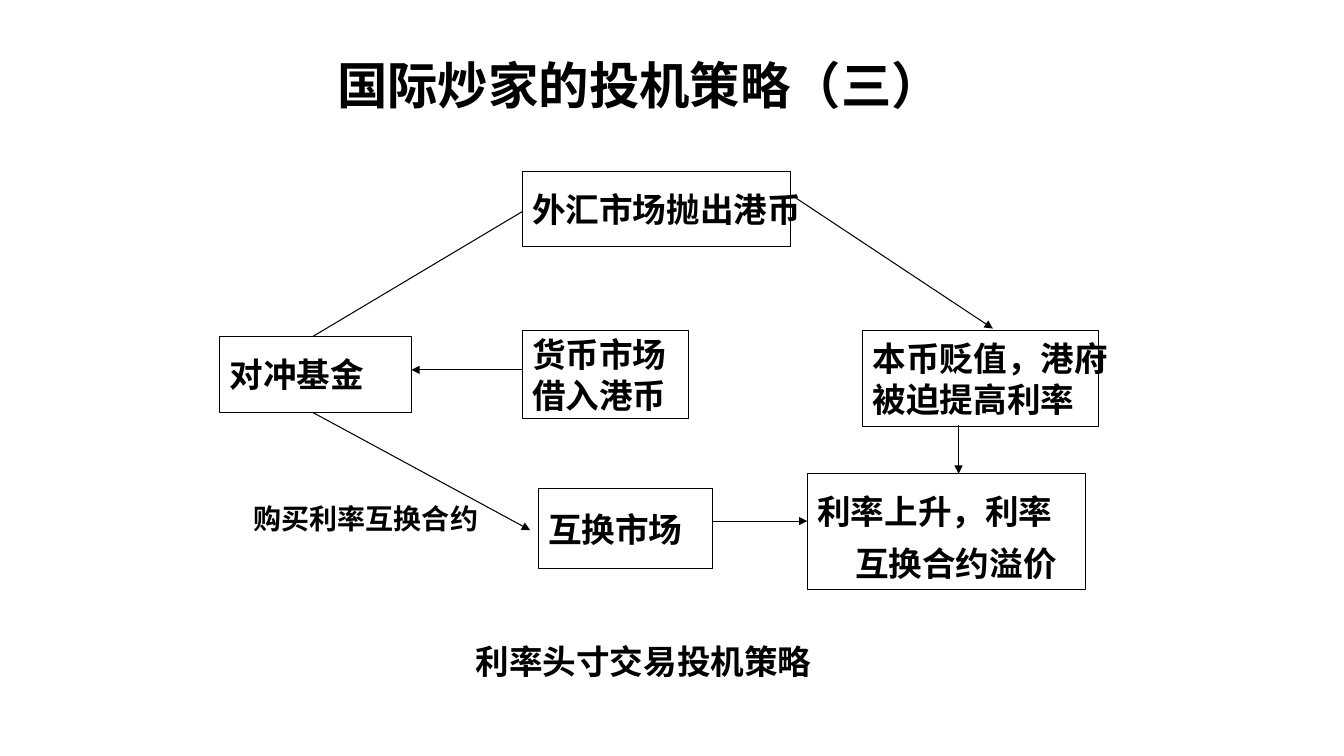
from dataclasses import dataclass
from lxml import etree
from pptx import Presentation
from pptx.dml.color import RGBColor
from pptx.enum.shapes import MSO_CONNECTOR, MSO_SHAPE
from pptx.enum.text import MSO_ANCHOR, PP_ALIGN
from pptx.oxml.ns import qn
from pptx.util import Pt

RECT = MSO_SHAPE.RECTANGLE
LINE = MSO_CONNECTOR.STRAIGHT
TOP, MID = MSO_ANCHOR.TOP, MSO_ANCHOR.MIDDLE
LEFT, CENTER = PP_ALIGN.LEFT, PP_ALIGN.CENTER


@dataclass
class Theme:
    ink: RGBColor = RGBColor(0, 0, 0)
    paper: RGBColor = RGBColor(255, 255, 255)
    head: int = 36
    body: int = 24
    note: int = 20
    rule: float = 0.75
    sans: str = "Arial"
    han: str = "Noto Sans CJK SC"


theme = Theme()
deck = Presentation()
deck.slide_width, deck.slide_height = Pt(960), Pt(540)
slide = deck.slides.add_slide(deck.slide_layouts[6])


def put_text(text, spot, size=theme.body, face=theme.sans, fill=None, edge=None,
             align=LEFT, anchor=MID, wrap=False, hang=0, space=None):
    area = [Pt(n) for n in spot]
    if edge is None:
        shape = slide.shapes.add_textbox(*area)
    else:
        shape = slide.shapes.add_shape(RECT, *area)
        shape.shadow.inherit = False
        shape.line.color.rgb = edge
        shape.line.width = Pt(theme.rule)
        if fill is None:
            shape.fill.background()
        else:
            shape.fill.solid()
            shape.fill.fore_color.rgb = fill
    frame = shape.text_frame
    frame.word_wrap = wrap
    frame.vertical_anchor = anchor
    frame.text = text
    for para in frame.paragraphs:
        para.alignment = align
        if space:
            para.line_spacing = space
        if hang:
            props = para._p.get_or_add_pPr()
            props.set("marL", str(Pt(hang)))
            props.set("indent", str(-Pt(hang)))
        for run in para.runs:
            font = run.font
            font.size, font.bold, font.name = Pt(size), True, face
            font.color.rgb = theme.ink
            etree.SubElement(run._r.rPr, qn("a:ea"), typeface=face)


put_text("国际炒家的投机策略（三）", (162.7, 37.4, 588.2, 51.8), size=theme.head,
         face=theme.han, align=CENTER, wrap=True, space=0.9)
put_text("利率头寸交易投机策略", (332.6, 457.2, 295.2, 30.2), face=theme.han,
         fill=theme.paper, edge=theme.paper)

boxes = [
    ("对冲基金", (157, 240.5, 136.8, 54)),
    ("外汇市场抛出港币", (373, 122.4, 191.5, 54)),
    ("互换市场", (384.5, 349.2, 124.6, 56.9)),
    ("货币市场\n借入港币", (373, 236.2, 118.8, 62.6)),
    ("本币贬值，港府\n被迫提高利率", (616.3, 236.2, 168.5, 68.4)),
]
for text, spot in boxes:
    put_text(text, spot, fill=theme.paper, edge=theme.ink)

put_text("购买利率互换合约", (174.2, 355, 187.2, 31), size=theme.note,
         anchor=TOP, wrap=True, hang=27)
put_text("利率上升，利率互换合约溢价", (576.7, 338.4, 198.7, 82.8),
         edge=theme.ink, anchor=TOP, wrap=True, hang=27, space=1.3)

links = [
    (223.2, 240.5, 373, 151.2, False),
    (223.2, 294.5, 378.7, 378.7, True),
    (565.9, 139.7, 709.2, 234.7, True),
    (373, 264.2, 293.8, 264.2, True),
    (509, 372.2, 576.7, 372.2, True),
    (684.7, 303.8, 684.7, 338.4, True),
]
for *ends, tip in links:
    link = slide.shapes.add_connector(LINE, *[Pt(n) for n in ends])
    link.line.color.rgb = theme.ink
    link.line.width = Pt(theme.rule)
    if tip:
        etree.SubElement(link.line._get_or_add_ln(), qn("a:tailEnd"), type="triangle")
    etree.SubElement(link._element.spPr, qn("a:effectLst"))

deck.save("out.pptx")
